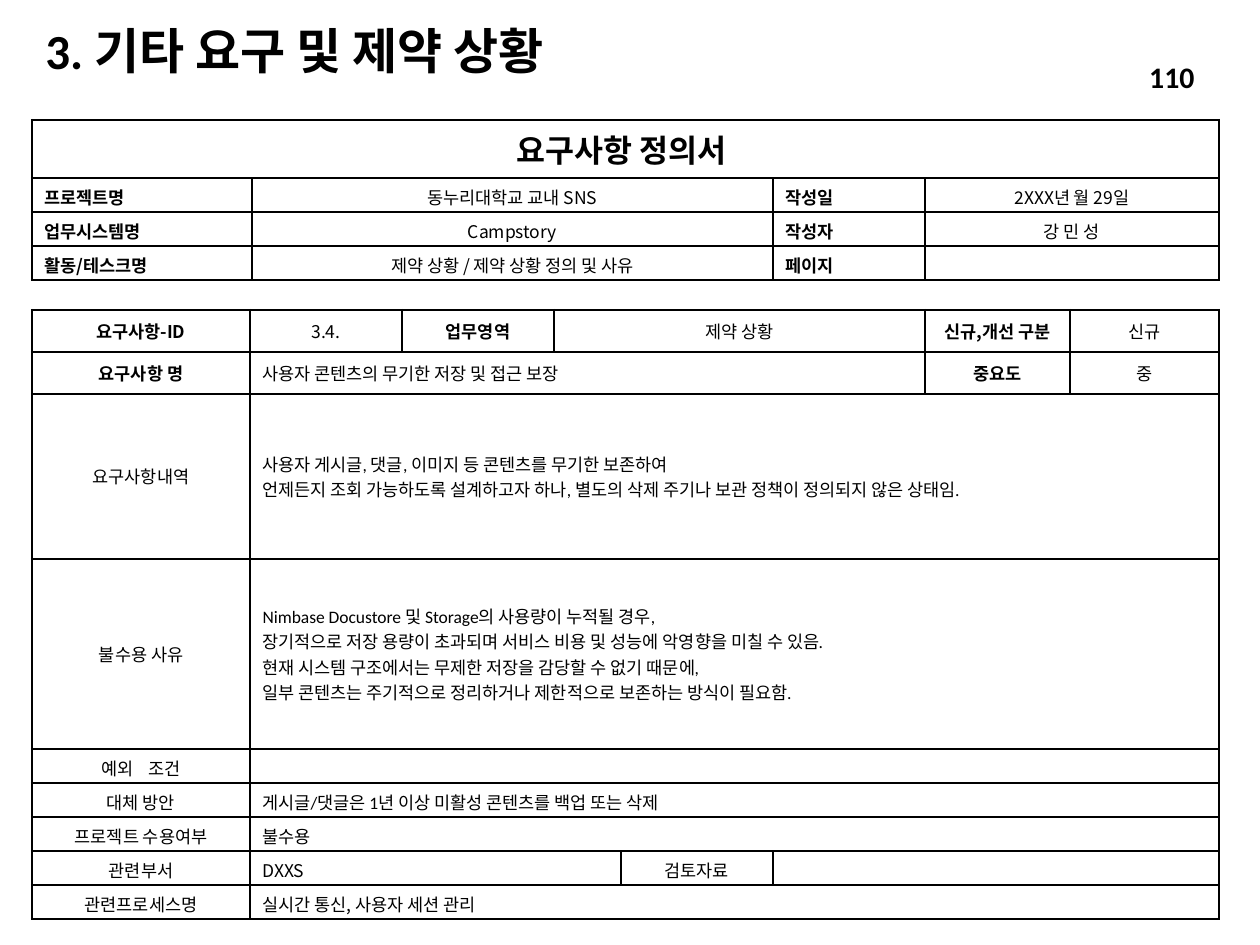
from collections import namedtuple

from lxml import etree
from pptx import Presentation
from pptx.dml.color import RGBColor
from pptx.enum.text import MSO_ANCHOR, PP_ALIGN
from pptx.oxml.ns import qn
from pptx.util import Pt

PX = 914400 // 126
BLACK = RGBColor(0x00, 0x00, 0x00)
CALIBRI, NOTO = "Calibri", "Noto Sans CJK KR"
LEFT, CENTER, RIGHT, JUSTIFY = PP_ALIGN.LEFT, PP_ALIGN.CENTER, PP_ALIGN.RIGHT, PP_ALIGN.JUSTIFY
MIDDLE = MSO_ANCHOR.MIDDLE
THIN, THICK = 1, 1.5

Style = namedtuple("Style", "font size bold align")
TITLE = Style(CALIBRI, 28, True, LEFT)
PAGE = Style(CALIBRI, 17, True, RIGHT)
BANNER = Style(NOTO, 18, True, CENTER)
FIELD = Style(NOTO, 10, True, JUSTIFY)
HEAD = Style(NOTO, 10, True, CENTER)
VALUE = Style(NOTO, 10, False, CENTER)
ENTRY = Style(NOTO, 10, False, LEFT)
PROSE = Style(CALIBRI, 10, False, LEFT)

# Each cell is (text, style, columns spanned).
DOCUMENT_ROWS = [
    [("요구사항 정의서 ", BANNER, 4)],
    [("프로젝트명", FIELD, 1), ("동누리대학교 교내 SNS", VALUE, 1),
     ("작성일", FIELD, 1), ("2XXX년 월 29일", VALUE, 1)],
    [("업무시스템명 ", FIELD, 1), ("Campstory", VALUE, 1),
     ("작성자", FIELD, 1), ("강 민 성", VALUE, 1)],
    [("활동/테스크명", FIELD, 1), ("제약 상황 / 제약 상황 정의 및 사유", VALUE, 1),
     ("페이지", FIELD, 1), ("", VALUE, 1)],
]

DETAILS = (
    "사용자 게시글, 댓글, 이미지 등 콘텐츠를 무기한 보존하여\n"
    "언제든지 조회 가능하도록 설계하고자 하나, 별도의 삭제 주기나 보관 정책이 정의되지 않은 상태임."
)
REASON = (
    "Nimbase Docustore 및 Storage의 사용량이 누적될 경우,\n"
    "장기적으로 저장 용량이 초과되며 서비스 비용 및 성능에 악영향을 미칠 수 있음.\n"
    "현재 시스템 구조에서는 무제한 저장을 감당할 수 없기 때문에,\n"
    "일부 콘텐츠는 주기적으로 정리하거나 제한적으로 보존하는 방식이 필요함."
)
REQUIREMENT_ROWS = [
    [("요구사항-ID", HEAD, 1), ("3.4.", VALUE, 1), ("업무영역", HEAD, 1),
     ("제약 상황", VALUE, 3), ("신규,개선 구분", HEAD, 1), ("신규", VALUE, 1)],
    [("요구사항 명", HEAD, 1), ("사용자 콘텐츠의 무기한 저장 및 접근 보장", PROSE, 5),
     ("중요도", HEAD, 1), ("중", VALUE, 1)],
    [("요구사항내역", VALUE, 1), (DETAILS, PROSE, 7)],
    [("불수용 사유", VALUE, 1), (REASON, PROSE, 7)],
    [("예외    조건", VALUE, 1), ("", ENTRY, 7)],
    [("대체 방안", VALUE, 1), ("게시글/댓글은 1년 이상 미활성 콘텐츠를 백업 또는 삭제", PROSE, 7)],
    [("프로젝트 수용여부", VALUE, 1), ("불수용", ENTRY, 7)],
    [("관련부서", VALUE, 1), ("DXXS", ENTRY, 3), ("검토자료", VALUE, 1), ("", ENTRY, 3)],
    [("관련프로세스명", VALUE, 1), ("실시간 통신, 사용자 세션 관리", ENTRY, 7)],
]


def write(tf, text, style):
    tf.word_wrap = True
    p = tf.paragraphs[0]
    p.alignment = style.align
    for i, line in enumerate(text.split("\n") if text else []):
        if i:
            p.add_line_break()
        r = p.add_run()
        r.text = line
        r.font.name, r.font.size, r.font.bold = style.font, Pt(style.size), style.bold
        r.font.color.rgb = BLACK
        etree.SubElement(r.font._element, qn("a:ea"), typeface=NOTO)
    # The end mark keeps empty cells at the height of their text size.
    etree.SubElement(p._p, qn("a:endParaRPr"), sz=str(style.size * 100))
    return p


def add_text(s, x, y, w, h, text, style):
    tf = s.shapes.add_textbox(x * PX, y * PX, w * PX, h * PX).text_frame
    tf.vertical_anchor = MIDDLE
    return write(tf, text, style)


def set_borders(cell, widths):
    """Draw the left, right, top and bottom lines, in that order."""
    tc_pr = cell._tc.get_or_add_tcPr()
    for i, (side, width) in enumerate(zip("LRTB", widths)):
        ln = etree.Element(qn(f"a:ln{side}"), w=str(Pt(width)))
        fill = etree.SubElement(ln, qn("a:solidFill"))
        etree.SubElement(fill, qn("a:srgbClr"), val=str(BLACK))
        tc_pr.insert(i, ln)


def add_form(s, x, y, col_widths, row_heights, rows, thick_rules):
    """Add a table; thick_rules numbers its heavy horizontal lines from the top."""
    n_rows, n_cols = len(row_heights), len(col_widths)
    table = s.shapes.add_table(n_rows, n_cols, x * PX, y * PX,
                               sum(col_widths) * PX, sum(row_heights) * PX).table
    table.first_row = table.horz_banding = False
    for col, w in zip(table.columns, col_widths):
        col.width = w * PX
    for row, h in zip(table.rows, row_heights):
        row.height = h * PX

    def across(i):
        return THICK if i in thick_rules else THIN

    def down(i):
        return THICK if i in (0, n_cols) else THIN

    for i, row in enumerate(rows):
        first = 0
        for text, style, span in row:
            end = first + span
            cell = table.cell(i, first)
            if span > 1:
                cell.merge(table.cell(i, end - 1))
            cell.vertical_anchor = MIDDLE
            write(cell.text_frame, text, style)
            for j in range(first, end):
                part = table.cell(i, j)
                part.fill.background()
                set_borders(part, (down(first), down(end), across(i), across(i + 1)))
            first = end


def main():
    prs = Presentation()
    prs.slide_width, prs.slide_height = 1260 * PX, 945 * PX
    s = prs.slides.add_slide(prs.slide_layouts[6])
    add_text(s, 33, 26, 675, 55, "3. 기타 요구 및 제약 상황", TITLE).line_spacing = 0.9
    add_form(s, 32, 310, [218, 152, 152, 67, 152, 152, 145, 149],
             [42, 42, 165, 190] + [34] * 5, REQUIREMENT_ROWS, (0, 1, 2, 9))
    add_form(s, 32, 120, [220, 521, 152, 294],
             [58] + [34] * 3, DOCUMENT_ROWS, (0, 4))
    add_text(s, 1003, 52, 204, 50, "110", PAGE)
    prs.save("out.pptx")


if __name__ == "__main__":
    main()
